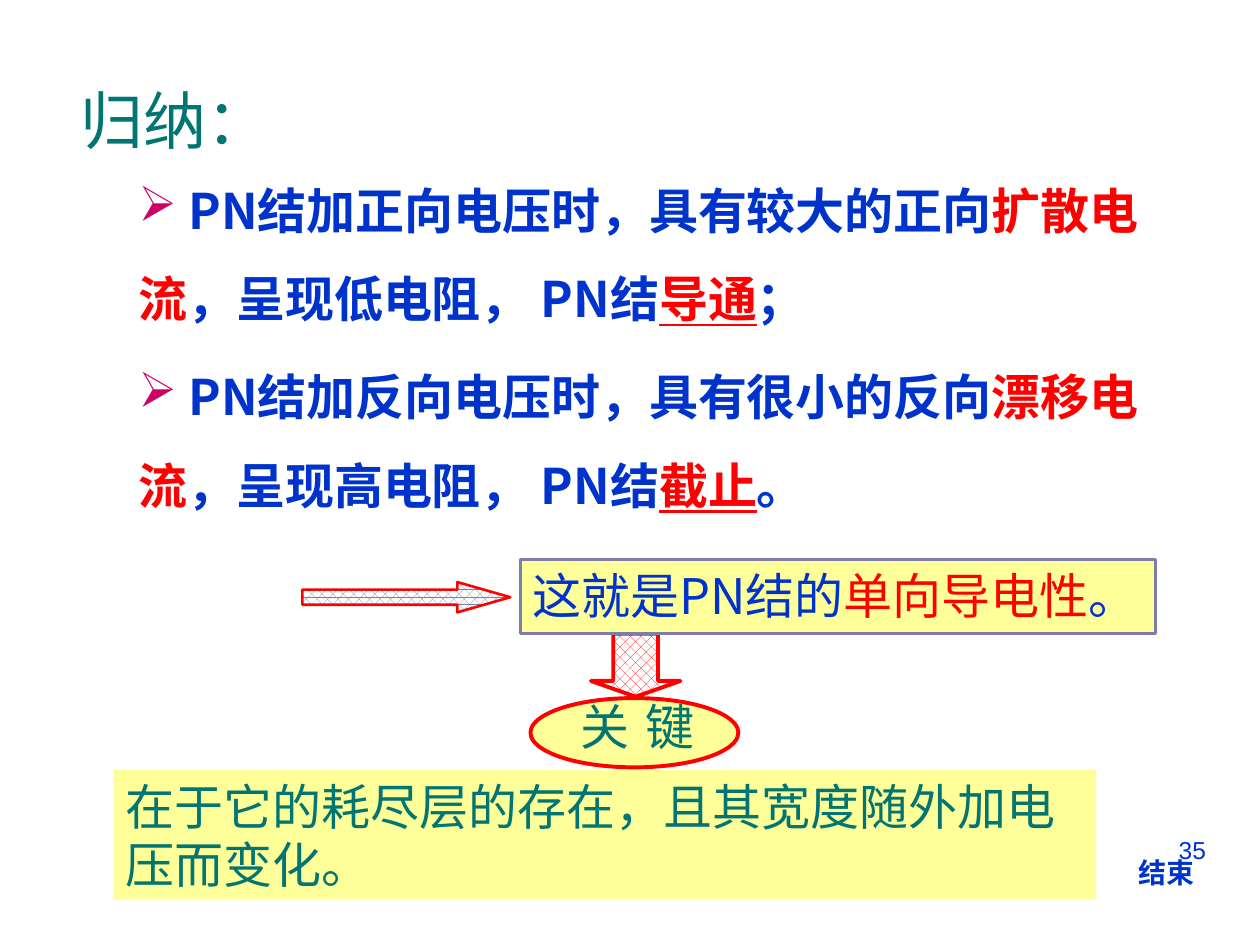
from dataclasses import dataclass
from typing import Optional

from lxml import etree
from pptx import Presentation
from pptx.dml.color import RGBColor
from pptx.enum.dml import MSO_PATTERN
from pptx.enum.shapes import MSO_SHAPE
from pptx.enum.text import MSO_ANCHOR, PP_ALIGN
from pptx.oxml.ns import qn
from pptx.util import Pt

PX = 9144
RECTANGLE, ELLIPSE = MSO_SHAPE.RECTANGLE, MSO_SHAPE.OVAL
RIGHT_ARROW, DOWN_ARROW = MSO_SHAPE.RIGHT_ARROW, MSO_SHAPE.DOWN_ARROW
DENSE, MEDIUM = MSO_PATTERN.PERCENT_60, MSO_PATTERN.from_xml("pct40")
TOP, MIDDLE = MSO_ANCHOR.TOP, MSO_ANCHOR.MIDDLE
LEFT, CENTER, RIGHT = PP_ALIGN.LEFT, PP_ALIGN.CENTER, PP_ALIGN.RIGHT

BLUE = RGBColor(0x00, 0x33, 0xCC)
RED = RGBColor(0xFF, 0x00, 0x00)
TEAL = RGBColor(0x00, 0x75, 0x72)
YELLOW = RGBColor(0xFF, 0xFF, 0x99)
SLATE = RGBColor(0x7D, 0x7D, 0xA9)
WHITE = RGBColor(0xFF, 0xFF, 0xFF)
MAGENTA = RGBColor(0xCC, 0x00, 0x66)

ARIAL, DEJAVU, NOTO = "Arial", "DejaVu Sans", "Noto Sans CJK SC"


@dataclass(frozen=True)
class Box:
    left: int
    top: int
    width: int
    height: int

    def emu(self) -> list[int]:
        return [side * PX for side in (self.left, self.top, self.width, self.height)]


@dataclass(frozen=True)
class Piece:
    text: str
    color: RGBColor
    underline: bool = False


@dataclass(frozen=True)
class Words:
    paragraphs: list[list[Piece]]
    font: str
    size: int
    bold: bool = False
    align: PP_ALIGN = LEFT
    anchor: MSO_ANCHOR = TOP
    bulleted: bool = False


@dataclass(frozen=True)
class Figure:
    kind: MSO_SHAPE
    box: Box
    fill: RGBColor = YELLOW
    line: Optional[RGBColor] = None
    line_width: float = 0
    pattern: Optional[MSO_PATTERN] = None
    adjustments: tuple[float, ...] = ()


def set_attributes(target, values: dict) -> None:
    for name, value in values.items():
        setattr(target, name, value)


def add_bullet(paragraph) -> None:
    set_attributes(paragraph, {"line_spacing": 1.5, "space_before": Pt(5.6)})
    properties = paragraph._p.get_or_add_pPr()
    color = etree.SubElement(properties, qn("a:buClr"))
    etree.SubElement(color, qn("a:srgbClr"), val=str(MAGENTA))
    etree.SubElement(properties, qn("a:buChar"), char="➢")


def write(shape, words: Words) -> None:
    frame = shape.text_frame
    set_attributes(frame, {"word_wrap": True, "vertical_anchor": words.anchor})
    for index, pieces in enumerate(words.paragraphs):
        paragraph = frame.add_paragraph() if index else frame.paragraphs[0]
        paragraph.alignment = words.align
        if words.bulleted:
            add_bullet(paragraph)
        for piece in pieces:
            run = paragraph.add_run()
            run.text = piece.text
            set_attributes(run.font, {
                "name": words.font, "size": Pt(words.size),
                "bold": words.bold, "underline": piece.underline,
            })
            run.font.color.rgb = piece.color
            east_asian = etree.SubElement(run.font._element, qn("a:ea"))
            east_asian.set("typeface", words.font)


def add_text(slide, box: Box, words: Words) -> None:
    write(slide.shapes.add_textbox(*box.emu()), words)


def add_figure(slide, figure: Figure, words: Optional[Words] = None) -> None:
    shape = slide.shapes.add_shape(figure.kind, *figure.box.emu())
    shape.shadow.inherit = False
    for index, value in enumerate(figure.adjustments):
        shape.adjustments[index] = value
    if figure.pattern is None:
        shape.fill.solid()
        shape.fill.fore_color.rgb = figure.fill
    else:
        shape.fill.patterned()
        shape.fill.pattern = figure.pattern
        shape.fill.fore_color.rgb = figure.fill
        shape.fill.back_color.rgb = WHITE
    if figure.line is None:
        shape.line.fill.background()
    else:
        shape.line.color.rgb = figure.line
        shape.line.width = Pt(figure.line_width)
    if words:
        write(shape, words)


def conclusion(direction: str, size: str, current: str, resistance: str,
               state: str, ending: str) -> list[Piece]:
    return [
        Piece(f" PN结加{direction}电压时，具有{size}的{direction}", BLUE),
        Piece(current, RED),
        Piece(f"，呈现{resistance}电阻， PN结", BLUE),
        Piece(state, RED, underline=True),
        Piece(ending, BLUE),
    ]


def main() -> None:
    presentation = Presentation()
    presentation.slide_width, presentation.slide_height = 1000 * PX, 750 * PX
    slide = presentation.slides.add_slide(presentation.slide_layouts[6])

    add_text(slide, Box(717, 658, 250, 52),
             Words([[Piece("35", BLUE)]], ARIAL, 14, align=RIGHT))
    add_text(slide, Box(50, 57, 178, 76),
             Words([[Piece("归纳：", TEAL)]], ARIAL, 36, align=CENTER, anchor=MIDDLE))
    add_text(slide, Box(100, 115, 841, 315), Words([
        conclusion("正向", "较大", "扩散电流", "低", "导通", "；"),
        conclusion("反向", "很小", "漂移电流", "高", "截止", "。"),
    ], NOTO, 28, bold=True, bulleted=True))

    add_figure(slide, Figure(RIGHT_ARROW, Box(240, 462, 165, 24), SLATE, RED, 1.5,
                             DENSE, (0.5, 1.75)))
    add_figure(slide, Figure(RECTANGLE, Box(90, 611, 780, 103)), Words(
        [[Piece("在于它的耗尽层的存在，且其宽度随外加电压而变化。", TEAL)]], DEJAVU, 28))
    add_figure(slide, Figure(ELLIPSE, Box(421, 554, 165, 55), YELLOW, RED, 2.25))
    add_text(slide, Box(443, 548, 126, 63),
             Words([[Piece("关 键", TEAL)]], DEJAVU, 28, align=CENTER))
    add_figure(slide, Figure(DOWN_ARROW, Box(469, 503, 71, 50), RED, RED, 2.25,
                             MEDIUM, (0.5, 0.25)))
    add_figure(slide, Figure(RECTANGLE, Box(413, 444, 504, 59), YELLOW, SLATE, 1.5), Words(
        [[Piece("这就是PN结的", BLUE), Piece("单向导电性", RED), Piece("。", BLUE)]], NOTO, 28))
    add_text(slide, Box(894, 674, 79, 37),
             Words([[Piece("结束", BLUE)]], ARIAL, 16, bold=True))

    presentation.save("out.pptx")


if __name__ == "__main__":
    main()
